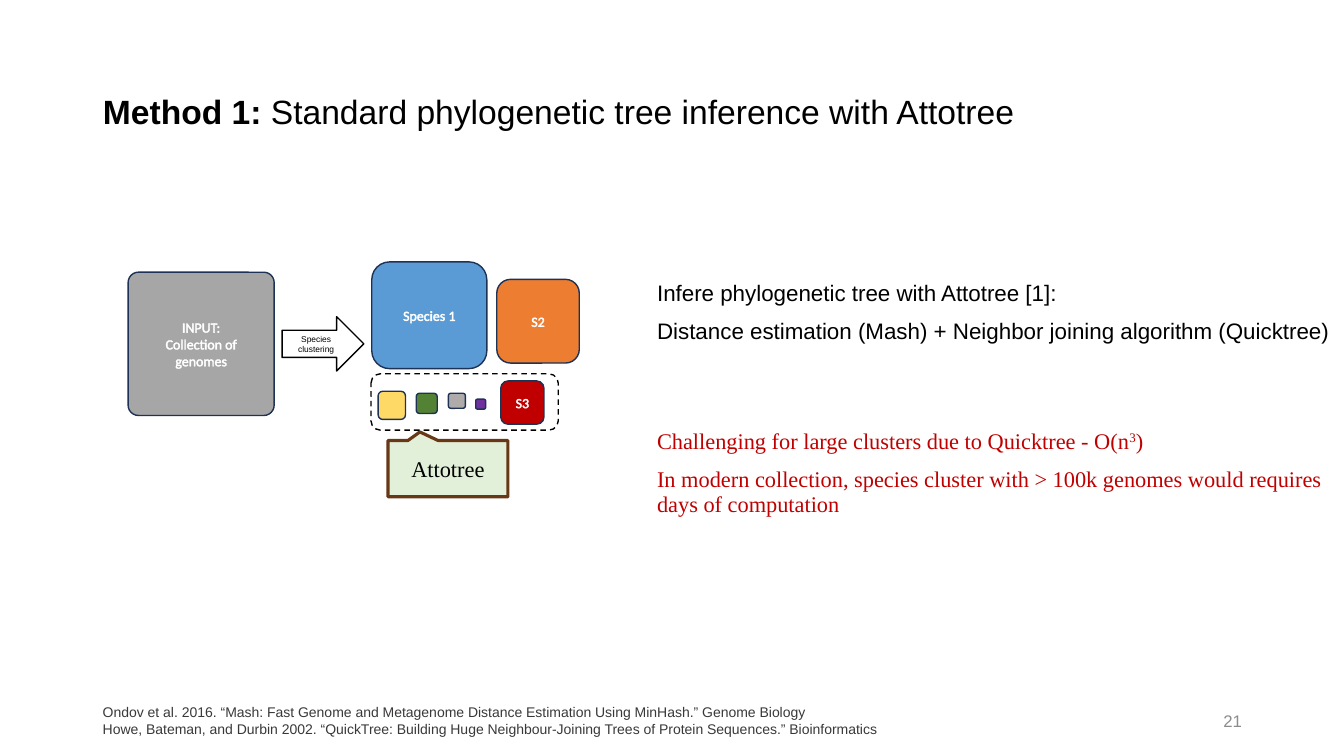
import pptx
import pptx.dml.color
import pptx.enum.dml
import pptx.enum.shapes
import pptx.enum.text
import pptx.oxml
import pptx.oxml.ns
import pptx.util
from dataclasses import dataclass

Cm, Pt = pptx.util.Cm, pptx.util.Pt
SHAPE = pptx.enum.shapes.MSO_SHAPE
ALIGN = pptx.enum.text.PP_ALIGN
ANCHOR = pptx.enum.text.MSO_ANCHOR


@dataclass(frozen=True)
class Theme:
    black: str = "000000"
    white: str = "FFFFFF"
    navy: str = "1E3256"
    red: str = "C00000"
    brown: str = "683715"
    mint: str = "E2F0D9"
    page_grey: str = "8C8C8C"
    reference_grey: str = "3B3838"
    sans: str = "Arial"
    label: str = "Calibri"
    serif: str = "Times New Roman"
    title_size: float = 24
    body_size: float = 16
    page_size: float = 12
    small_size: float = 10
    arrow_size: float = 6


THEME = Theme()

# Each paragraph is a list of (text, format) spans; boxes are left, top, width, height in cm.
TITLE_BOX = (2.34, 1.02, 29.21, 3.68)
TITLE = [[("Method 1: ", {"bold": True}),
          ("Standard phylogenetic tree inference with Attotree", {"bold": False})]]

CLUSTERS = [
    ((3.23, 6.86, 3.68, 3.61), "A6A6A6", 0.072, ["INPUT:", "Collection of genomes"]),
    ((9.37, 6.6, 2.9, 2.69), "5B9BD5", 0.167, ["Species 1"]),
    ((12.52, 7.04, 2.08, 2.11), "ED7D31", 0.167, ["S2"]),
    ((12.62, 9.6, 1.09, 1.09), THEME.red, 0.167, ["S3"]),
    ((10.49, 9.91, 0.53, 0.51), "548235", 0.167, []),
    ((9.53, 9.86, 0.69, 0.71), "FFD966", 0.167, []),
    ((11.3, 9.91, 0.43, 0.38), "AFABAB", 0.167, []),
    ((11.99, 10.06, 0.25, 0.25), "7030A0", 0.167, []),
]
ARROW_BOX = (7.11, 7.98, 2.06, 1.37)
CALLOUT_BOX = (9.78, 11.1, 3.02, 1.42)
SMALL_CLUSTERS_BOX = (9.35, 9.42, 4.72, 1.42)

METHOD_BOX = (16.31, 6.99, 17.58, 2.36)
METHOD = [
    [("Infere phylogenetic tree with Attotree [1]:", {})],
    [("Distance estimation (Mash) + Neighbor joining algorithm (Quicktree)", {})],
]
LIMITS_BOX = (16.31, 10.72, 17.58, 3.15)
LIMITS = [
    [("Challenging for large clusters due to Quicktree - O(n", {}),
     ("3", {"superscript": True}), (")", {})],
    [("In modern collection, species cluster with > 100k genomes would "
      "requires days of computation", {})],
]
REFERENCES_BOX = (2.34, 17.65, 21.59, 1.02)
REFERENCES = [
    [("Ondov et al. 2016. “Mash: Fast Genome and Metagenome Distance Estimation "
      "Using MinHash.” Genome Biology", {})],
    [("Howe, Bateman, and Durbin 2002. “QuickTree: Building Huge Neighbour-Joining "
      "Trees of Protein Sequences.” Bioinformatics", {})],
]
PAGE_NUMBER_BOX = (23.93, 17.65, 7.62, 1.02)


def color(value):
    return pptx.dml.color.RGBColor.from_string(value)


def apply(target, values):
    for name, value in values.items():
        setattr(target, name, value)


def add_outline(span):
    """Give the letters of a run a thin white outline."""
    outline = pptx.oxml.parse_xml(
        f'<a:ln {pptx.oxml.ns.nsdecls("a")} w="{Pt(0.75)}"><a:solidFill>'
        f'<a:srgbClr val="{THEME.white}"/></a:solidFill></a:ln>')
    span._r.get_or_add_rPr().insert(0, outline)


def write(shape, paragraphs, font, size, ink, align=ALIGN.LEFT,
          anchor=ANCHOR.MIDDLE, line_spacing=1.0, gap=0, outlined=False):
    frame = shape.text_frame
    apply(frame, {"word_wrap": True, "vertical_anchor": anchor,
                  "auto_size": pptx.enum.text.MSO_AUTO_SIZE.NONE})
    for index, spans in enumerate(paragraphs):
        para = frame.add_paragraph() if index else frame.paragraphs[0]
        apply(para, {"alignment": align, "line_spacing": line_spacing,
                     "space_before": Pt(gap if index else 0)})
        for text, style in spans:
            span = para.add_run()
            span.text = text
            apply(span.font, {"name": font, "size": Pt(size), "bold": style.get("bold")})
            span.font.color.rgb = color(ink)
            if style.get("superscript"):
                span._r.get_or_add_rPr().set("baseline", "30000")
            if outlined:
                add_outline(span)


def add_text(page, box, paragraphs, *args, **options):
    write(page.shapes.add_textbox(*map(Cm, box)), paragraphs, *args, **options)


def add_figure(page, kind, box, fill, line, width=1, adjustments=()):
    shape = page.shapes.add_shape(kind, *map(Cm, box))
    shape.shadow.inherit = False
    if fill:
        shape.fill.solid()
        shape.fill.fore_color.rgb = color(fill)
    else:
        shape.fill.background()
    shape.line.color.rgb = color(line)
    shape.line.width = Pt(width)
    for index, value in enumerate(adjustments):
        shape.adjustments[index] = value
    return shape


def draw_workflow(page):
    for box, fill, corner, lines in CLUSTERS:
        cluster = add_figure(page, SHAPE.ROUNDED_RECTANGLE, box, fill, THEME.navy,
                             adjustments=[corner])
        if lines:
            write(cluster, [[(line, {})] for line in lines], THEME.label,
                  THEME.small_size, THEME.white, ALIGN.CENTER, outlined=True)

    arrow = add_figure(page, SHAPE.RIGHT_ARROW, ARROW_BOX, THEME.white, THEME.black)
    write(arrow, [[("Species clustering", {})]], THEME.sans, THEME.arrow_size,
          THEME.black, ALIGN.CENTER)

    callout = add_figure(page, SHAPE.RECTANGULAR_CALLOUT, CALLOUT_BOX, THEME.mint,
                         THEME.brown, 2.25, [-0.234, -0.652])
    write(callout, [[("Attotree", {})]], THEME.serif, THEME.body_size,
          THEME.black, ALIGN.CENTER)

    frame = add_figure(page, SHAPE.ROUNDED_RECTANGLE, SMALL_CLUSTERS_BOX, None, THEME.black)
    frame.line.dash_style = pptx.enum.dml.MSO_LINE.DASH


def main():
    deck = pptx.Presentation()
    apply(deck, {"slide_width": Cm(33.87), "slide_height": Cm(19.05)})
    page = deck.slides.add_slide(deck.slide_layouts.get_by_name("Title Only"))

    title = page.shapes.title
    apply(title, dict(zip(("left", "top", "width", "height"), map(Cm, TITLE_BOX))))
    write(title, TITLE, THEME.sans, THEME.title_size, THEME.black, line_spacing=0.9)

    draw_workflow(page)

    body = {"anchor": ANCHOR.TOP, "line_spacing": 0.9, "gap": 10}
    add_text(page, METHOD_BOX, METHOD, THEME.sans, THEME.body_size, THEME.black, **body)
    add_text(page, LIMITS_BOX, LIMITS, THEME.serif, THEME.body_size, THEME.red, **body)
    add_text(page, REFERENCES_BOX, REFERENCES, THEME.sans, THEME.small_size,
             THEME.reference_grey)
    add_text(page, PAGE_NUMBER_BOX, [[("21", {})]], THEME.sans, THEME.page_size,
             THEME.page_grey, align=ALIGN.RIGHT)
    deck.save("out.pptx")


if __name__ == "__main__":
    main()
